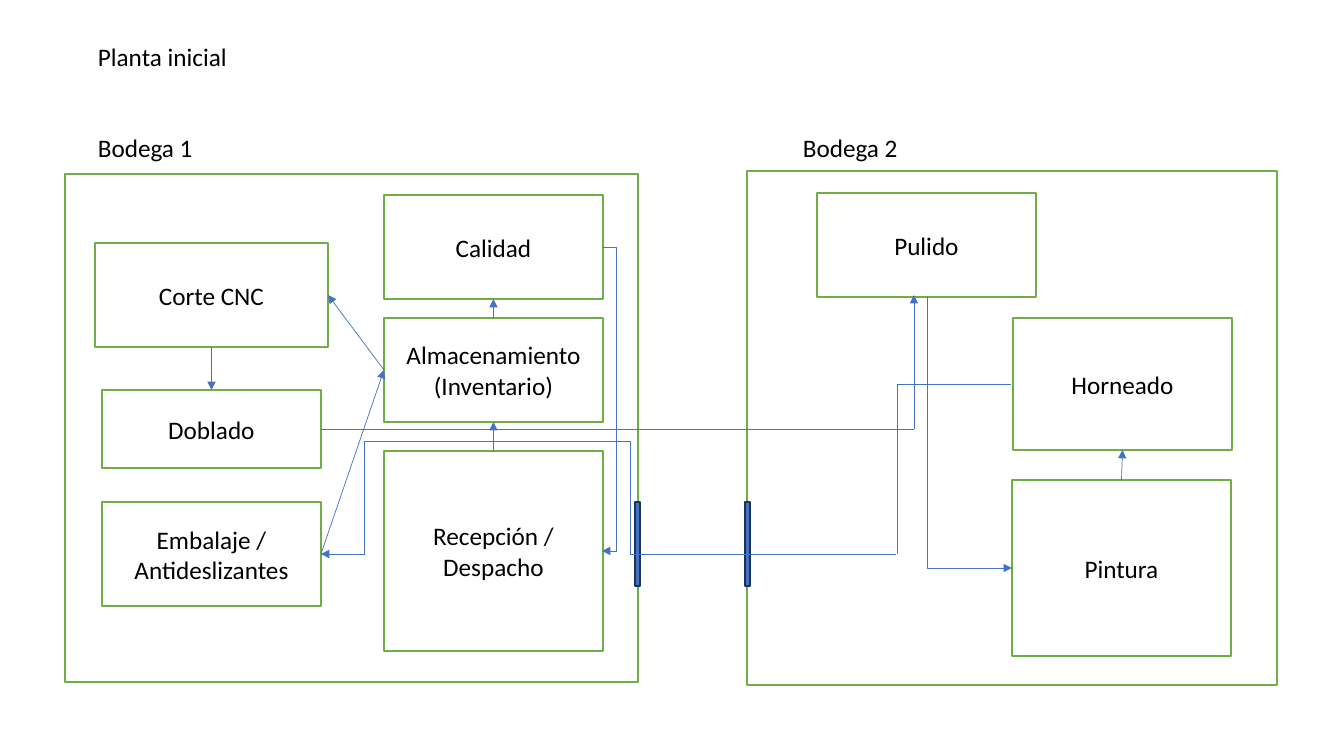
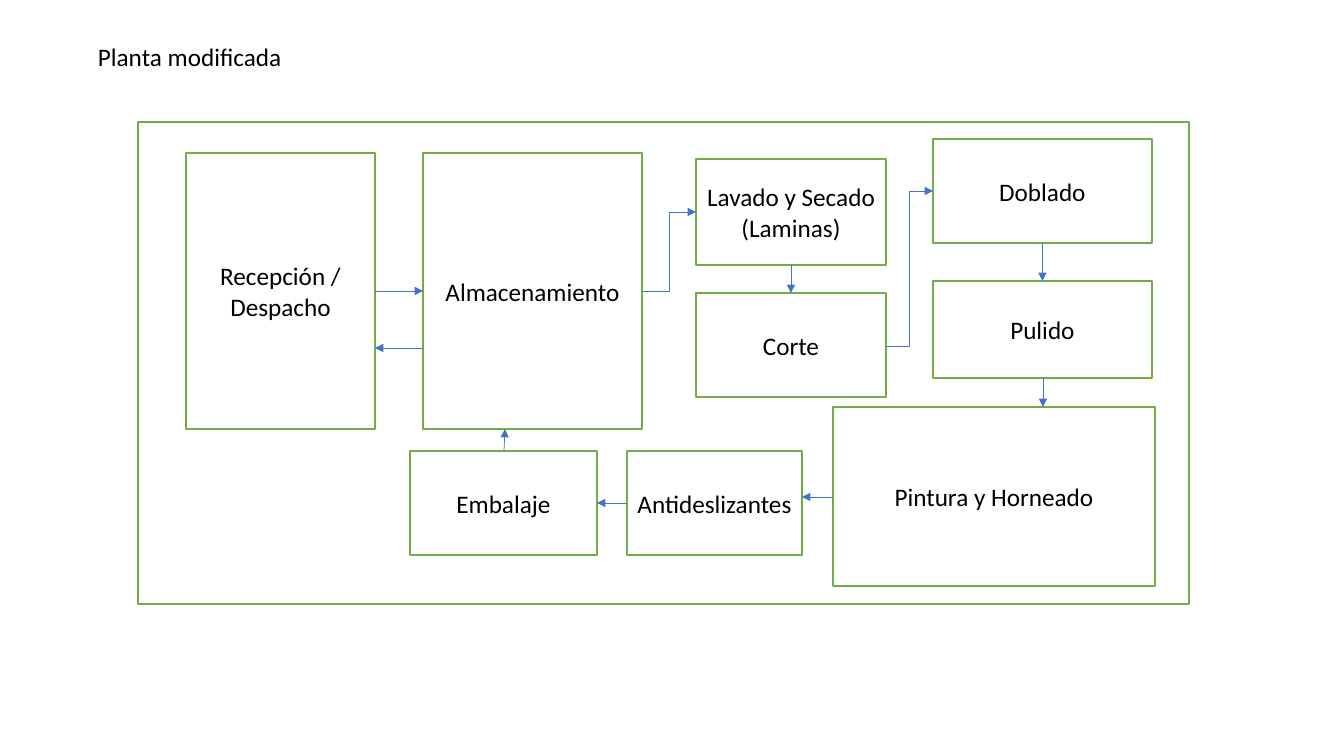
from pptx import Presentation
from pptx.dml.color import RGBColor
from pptx.enum.shapes import MSO_CONNECTOR, MSO_SHAPE
from pptx.enum.text import MSO_ANCHOR, PP_ALIGN
from pptx.oxml.ns import qn
from pptx.util import Pt
from lxml.etree import SubElement

WHITE = RGBColor(0xFF, 0xFF, 0xFF)
BLACK = RGBColor(0, 0, 0)
GREEN = RGBColor(0x70, 0xAD, 0x47)
BLUE = RGBColor(0x44, 0x72, 0xC4)
NAVY = RGBColor(0x1E, 0x32, 0x56)
FONT, SIZE = "Calibri", Pt(18)
SCALE = 12192000 / 1344
TOP, LEFT, BOTTOM, RIGHT = range(4)

# Boxes: text, left, top, width, height; the first word names a box in links.
# Links: box, side, box, side. Lines: start, end, arrow.
# Elbows: start, end, arrow, place of the middle leg as a share of the width.
# Corners: start, end; they go down first, then sideways.
PLANS = [
    {
        "title": "Planta inicial",
        "labels": [("Bodega 1", 88, 127), ("Bodega 2", 793, 127)],
        "halls": [(747, 171, 530, 514), (65, 174, 573, 508)],
        "doors": [(635, 502, 5, 84), (745, 502, 5, 84)],
        "boxes": [
            ("Recepción / Despacho", 384, 451, 219, 200),
            ("Doblado", 102, 390, 219, 78),
            ("Corte CNC", 95, 243, 233, 104),
            ("Pulido", 817, 193, 219, 104),
            ("Pintura", 1012, 480, 219, 176),
            ("Almacenamiento\n(Inventario)", 384, 318, 219, 104),
            ("Horneado", 1013, 318, 219, 132),
            ("Embalaje / Antideslizantes", 102, 502, 219, 104),
            ("Calidad", 384, 195, 219, 104),
        ],
        "links": [
            ("Almacenamiento", LEFT, "Corte", RIGHT),
            ("Almacenamiento", TOP, "Calidad", BOTTOM),
            ("Embalaje", RIGHT, "Almacenamiento", LEFT),
            ("Corte", BOTTOM, "Doblado", TOP),
            ("Pintura", TOP, "Horneado", BOTTOM),
            ("Recepción", TOP, "Almacenamiento", BOTTOM),
        ],
        "lines": [
            ((1011, 384), (897, 384), False),
            ((897, 384), (897, 554), False),
            ((321, 429), (914, 429), False),
            ((914, 429), (914, 295), True),
        ],
        "elbows": [
            ((896, 554), (364, 441), False, 0.5),
            ((603, 247), (602, 551), True, -14),
        ],
        "corners": [((927, 297), (1012, 568)), ((364, 441), (321, 554))],
    },
    {
        "title": "Planta modificada",
        "labels": [],
        "halls": [(138, 122, 1051, 482)],
        "doors": [],
        "boxes": [
            ("Recepción / Despacho", 186, 153, 189, 276),
            ("Doblado", 933, 139, 219, 104),
            ("Corte", 696, 293, 190, 104),
            ("Pintura y Horneado", 833, 407, 322, 179),
            ("Almacenamiento", 423, 153, 219, 276),
            ("Antideslizantes", 627, 451, 175, 104),
            ("Lavado y Secado (Laminas)", 696, 159, 190, 106),
            ("Embalaje", 410, 451, 187, 104),
            ("Pulido", 933, 281, 219, 97),
        ],
        "links": [
            ("Recepción", RIGHT, "Almacenamiento", LEFT),
            ("Lavado", BOTTOM, "Corte", TOP),
            ("Antideslizantes", LEFT, "Embalaje", RIGHT),
            ("Doblado", BOTTOM, "Pulido", TOP),
        ],
        "lines": [
            ((833, 497), (802, 497), True),
            ((504, 451), (505, 429), True),
            ((423, 348), (375, 348), True),
            ((1043, 378), (1043, 407), True),
        ],
        "elbows": [
            ((642, 291), (696, 212), True, 0.5),
            ((886, 346), (933, 191), True, 0.5),
        ],
        "corners": [],
    },
]


def px(*vals):
    """Turn pixels into EMU."""
    return [round(val * SCALE) for val in vals]


def write(frame, text, align):
    """Fill a text frame in the shared style."""
    frame.word_wrap = True
    frame.text = text
    for para in frame.paragraphs:
        para.alignment = align
        for run in para.runs:
            run.font.name, run.font.size = FONT, SIZE
            run.font.color.rgb = BLACK


def label(slide, text, x, y, wide=356):
    """Add a plain line of text."""
    box = slide.shapes.add_textbox(*px(x, y, wide, 41))
    write(box.text_frame, text, PP_ALIGN.LEFT)


def block(slide, area, fill=WHITE, edge=GREEN):
    """Add a filled rectangle with a thin edge."""
    box = slide.shapes.add_shape(MSO_SHAPE.RECTANGLE, *px(*area))
    box.shadow.inherit = False
    box.fill.solid()
    box.fill.fore_color.rgb = fill
    box.line.color.rgb = edge
    box.line.width = Pt(1)
    return box


def station(slide, text, *area):
    """Add a work area with its centred name."""
    box = block(slide, area)
    box.text_frame.vertical_anchor = MSO_ANCHOR.MIDDLE
    write(box.text_frame, text, PP_ALIGN.CENTER)
    return box


def wire(slide, start, end, arrow=True, kind=MSO_CONNECTOR.STRAIGHT):
    """Add a thin blue connector, with an arrowhead if asked."""
    line = slide.shapes.add_connector(kind, *px(*start, *end))
    line.line.color.rgb = BLUE
    line.line.width = Pt(0.5)
    props = line._element.spPr
    if arrow:
        SubElement(props.find(qn("a:ln")), qn("a:tailEnd"), type="triangle")
    SubElement(props, qn("a:effectLst"))
    return line


def elbow(slide, start, end, arrow, share):
    """Add a connector that runs sideways, up or down, and sideways."""
    line = wire(slide, start, end, arrow, MSO_CONNECTOR.ELBOW)
    geom = line._element.spPr.find(qn("a:prstGeom"))
    guides = geom.find(qn("a:avLst"))
    if guides is None:
        guides = SubElement(geom, qn("a:avLst"))
    SubElement(guides, qn("a:gd"), name="adj1", fmla=f"val {round(share * 100000)}")


def corner(slide, start, end):
    """Add an arrow that runs down and then sideways, as a turned elbow."""
    (x1, y1), (x2, y2) = start, end
    wide, high = y2 - y1, abs(x2 - x1)
    x, y = (x1 + x2 - wide) / 2, (y1 + y2 - high) / 2
    line = wire(slide, (x, y), (x + wide, y + high), True, MSO_CONNECTOR.ELBOW)
    props = line._element.spPr
    props.find(qn("a:prstGeom")).set("prst", "bentConnector2")
    form = props.find(qn("a:xfrm"))
    form.set("rot", str((270 if x2 > x1 else 90) * 60000))
    if x2 > x1:
        form.set("flipH", "1")


def draw(deck, plan):
    """Build the slide of one floor plan."""
    slide = deck.slides.add_slide(deck.slide_layouts[6])
    label(slide, plan["title"], 88, 36)
    for area in plan["halls"]:
        block(slide, area)
    boxes = {row[0].split()[0]: station(slide, *row) for row in plan["boxes"]}
    for area in plan["doors"]:
        block(slide, area, BLUE, NAVY)
    for row in plan["labels"]:
        label(slide, *row)
    for tail, out, head, into in plan["links"]:
        line = wire(slide, (0, 0), (0, 0))
        line.begin_connect(boxes[tail], out)
        line.end_connect(boxes[head], into)
    for row in plan["lines"]:
        wire(slide, *row)
    for row in plan["elbows"]:
        elbow(slide, *row)
    for row in plan["corners"]:
        corner(slide, *row)


deck = Presentation()
deck.slide_width, deck.slide_height = px(1344, 756)
for plan in PLANS:
    draw(deck, plan)
deck.save("out.pptx")
